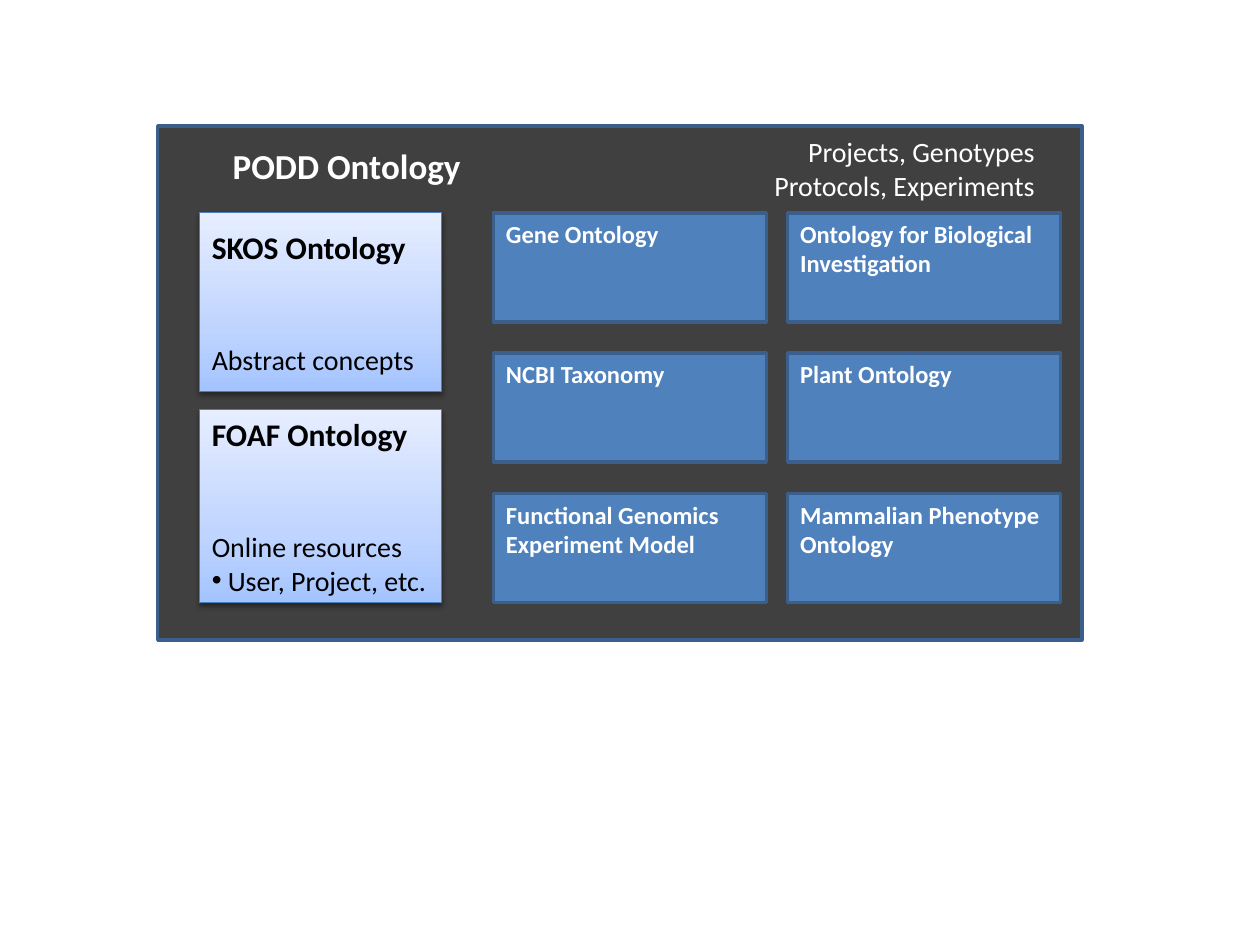
from pptx import Presentation
from pptx.dml.color import RGBColor
from pptx.enum.shapes import MSO_SHAPE
from pptx.enum.text import MSO_ANCHOR, PP_ALIGN
from pptx.oxml import parse_xml
from pptx.oxml.ns import nsdecls, qn
from pptx.util import Cm, Pt
from copy import deepcopy

COLORS = {
    "panel": "404040", "panel_line": "3A5F8C", "box": "4F81BD",
    "card_line": "4B7EBC", "light_text": "FFFFFF", "dark_text": "000000",
}
CARD_GRADIENT = [(0, "A4C4FF"), (0.35, "BFD4FF"), (1, "E6EEFF")]


class OntologySlide:
    font = "Calibri"

    def __init__(self, slide):
        self.slide = slide

    def shape(self, kind, left, top, width, height, fill=None, line=None, line_width=2):
        shape = self.slide.shapes.add_shape(kind, Cm(left), Cm(top), Cm(width), Cm(height))
        shape.shadow.inherit = False
        if fill:
            shape.fill.solid()
            shape.fill.fore_color.rgb = RGBColor.from_string(COLORS[fill])
        else:
            shape.fill.background()
        if line:
            shape.line.color.rgb = RGBColor.from_string(COLORS[line])
            shape.line.width = Pt(line_width)
        else:
            shape.line.fill.background()
        return shape

    def style(self, paragraph, size, color, bold=False, align=PP_ALIGN.LEFT):
        paragraph.alignment = align
        for run in paragraph.runs:
            run.font.name = self.font
            run.font.size = Pt(size)
            run.font.bold = bold
            run.font.color.rgb = RGBColor.from_string(COLORS[color])

    def panel(self, left, top, width, height):
        self.shape(MSO_SHAPE.RECTANGLE, left, top, width, height, "panel", "panel_line")

    def label(self, text, left, top, width, height, size, bold, align):
        shape = self.shape(MSO_SHAPE.ROUNDED_RECTANGLE, left, top, width, height)
        shape.text_frame.text = text
        self.style(shape.text_frame.paragraphs[0], size, "light_text", bold, align)

    def box(self, text, left, top, width, height):
        shape = self.shape(MSO_SHAPE.RECTANGLE, left, top, width, height, "box", "panel_line")
        shape.text_frame.text = text
        shape.text_frame.vertical_anchor = MSO_ANCHOR.TOP
        for paragraph in shape.text_frame.paragraphs:
            self.style(paragraph, 14, "light_text", bold=True)

    def card(self, title, details, bullet, left, top, width, height):
        shape = self.shape(MSO_SHAPE.RECTANGLE, left, top, width, height,
                           line="card_line", line_width=0.75)
        self.card_background(shape)
        frame = shape.text_frame
        frame.text = title
        self.style(frame.paragraphs[0], 18, "dark_text", bold=True)
        paragraph = frame.add_paragraph()
        paragraph.text = details
        paragraph.space_before = Pt(44)
        self.style(paragraph, 16, "dark_text")
        if bullet:
            paragraph = frame.add_paragraph()
            paragraph.text = " " + bullet
            self.style(paragraph, 16, "dark_text")
            properties = paragraph._p.get_or_add_pPr()
            properties.append(parse_xml(f'<a:buFont {nsdecls("a")} typeface="Arial"/>'))
            properties.append(parse_xml(f'<a:buChar {nsdecls("a")} char="\u2022"/>'))

    def card_background(self, shape):
        shape.fill.gradient()
        shape.fill.gradient_angle = 90
        properties = shape._element.spPr
        stop_list = properties.find(".//" + qn("a:gsLst"))
        stop_list.append(deepcopy(stop_list[0]))
        for stop, (position, color) in zip(shape.fill.gradient_stops, CARD_GRADIENT):
            stop.position = position
            stop.color.rgb = RGBColor.from_string(color)
        properties.find(qn("a:effectLst")).append(parse_xml(
            f'<a:outerShdw {nsdecls("a")} blurRad="{Pt(3.1)}" dist="{Pt(1.6)}" '
            'dir="5400000" rotWithShape="0"><a:srgbClr val="000000">'
            '<a:alpha val="38000"/></a:srgbClr></a:outerShdw>'))


presentation = Presentation()
presentation.slide_width, presentation.slide_height = Cm(25.4), Cm(19.05)
page = OntologySlide(presentation.slides.add_slide(presentation.slide_layouts[6]))

# Panel and its headings
page.panel(3.18, 2.54, 18.63, 10.36)
page.label("PODD Ontology", 3.6, 2.77, 6.78, 1.12, 20, True, PP_ALIGN.CENTER)
page.label("Projects, Genotypes Protocols, Experiments",
           15.04, 2.62, 6.15, 1.55, 16, False, PP_ALIGN.RIGHT)

# Upper ontologies
page.card("SKOS Ontology", "Abstract concepts", None, 4.02, 4.29, 4.88, 3.61)
page.card("FOAF Ontology", "Online resources", "User, Project, etc.", 4.02, 8.26, 4.88, 3.89)

# Grid of domain ontologies
domain_ontologies = [
    ["Gene Ontology", "Ontology for Biological Investigation"],
    ["NCBI Taxonomy", "Plant Ontology"],
    ["Functional\u00a0Genomics\nExperiment Model", "Mammalian Phenotype Ontology"],
]
for row, names in enumerate(domain_ontologies):
    for column, name in enumerate(names):
        page.box(name, 9.95 + 5.93 * column, 4.29 + 2.83 * row, 5.5, 2.2)

presentation.save("out.pptx")
